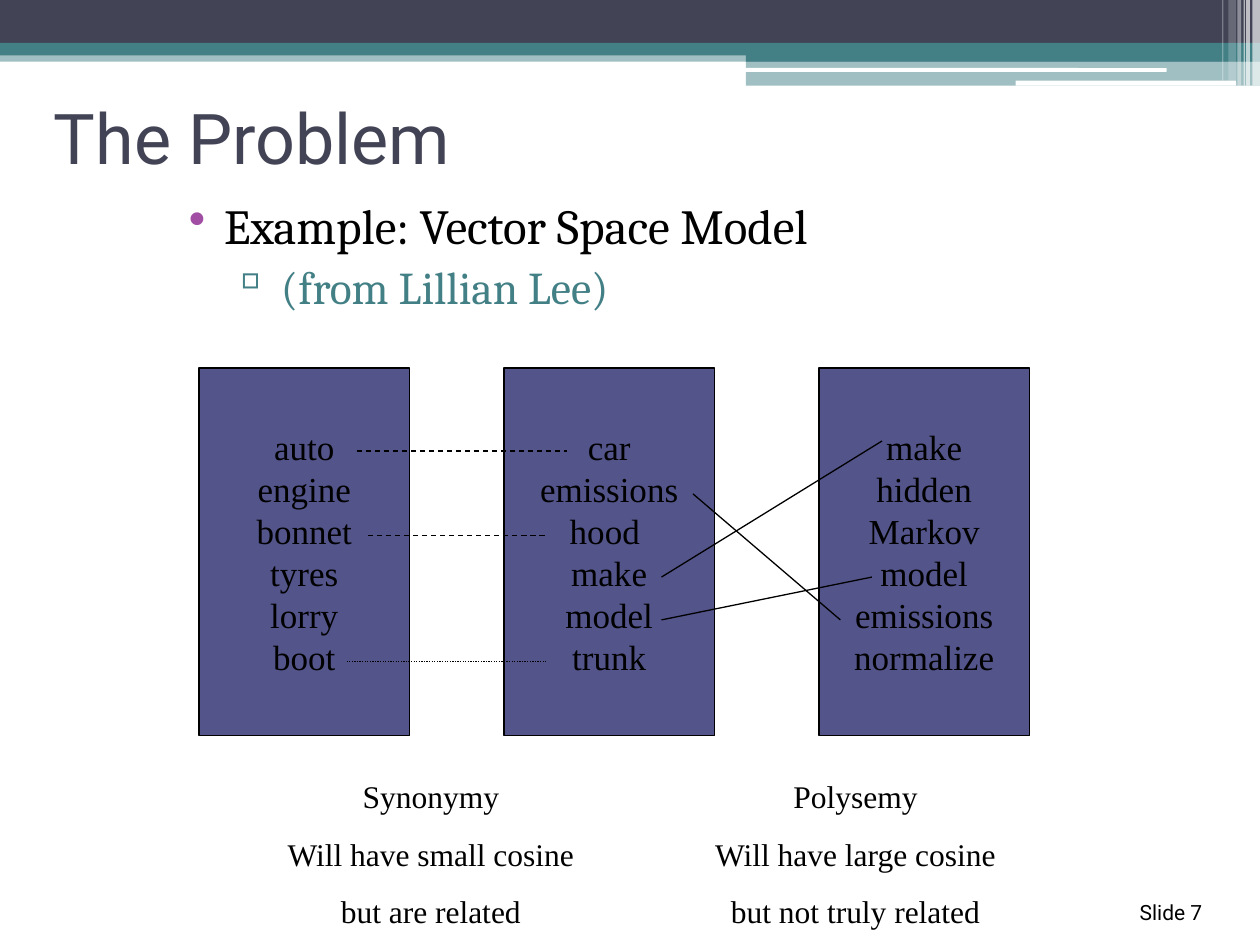
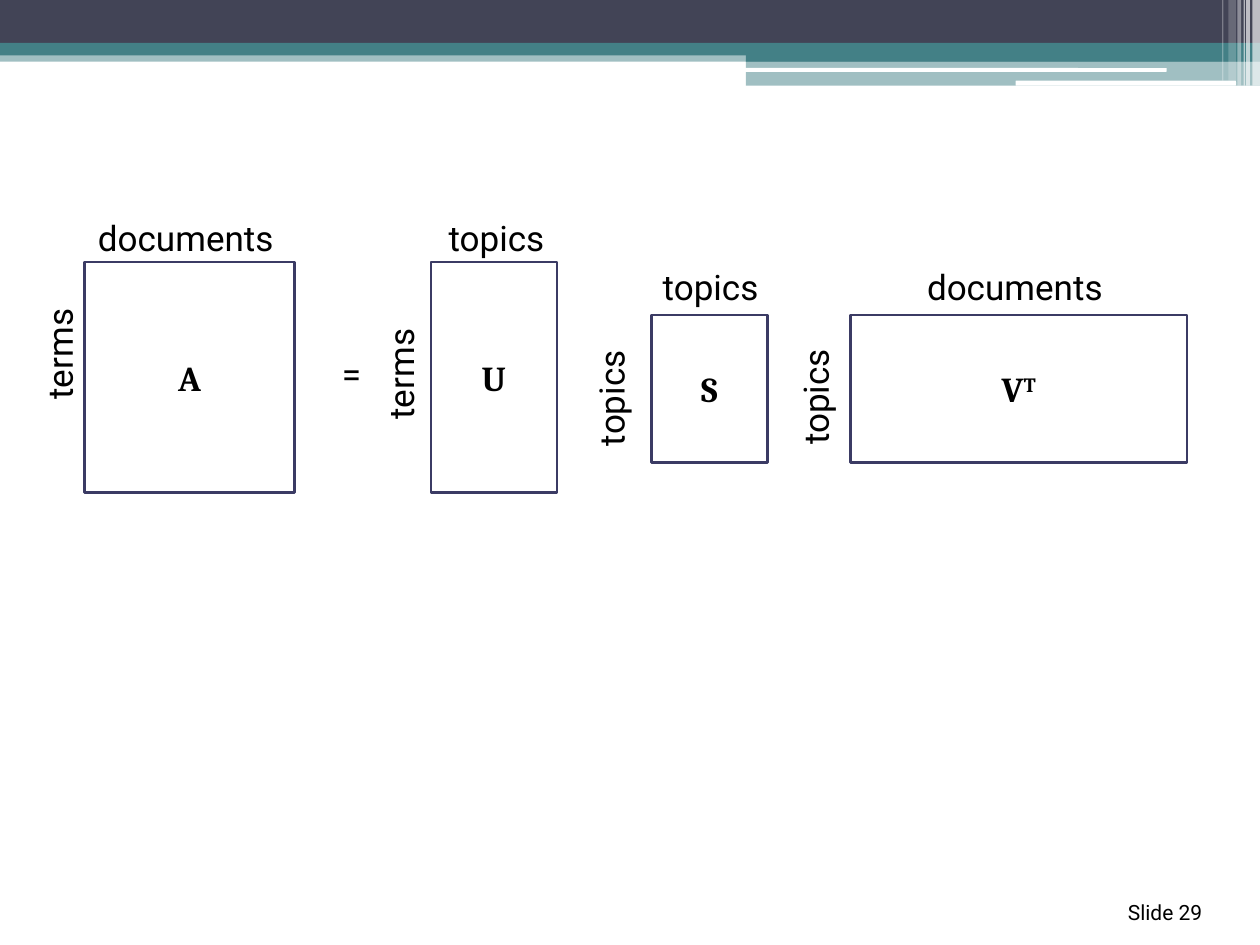
from lxml import etree
from pptx import Presentation
from pptx.dml.color import RGBColor
from pptx.enum.dml import MSO_LINE
from pptx.enum.shapes import MSO_CONNECTOR, MSO_SHAPE
from pptx.enum.text import MSO_ANCHOR, PP_ALIGN
from pptx.oxml.ns import qn
from pptx.util import Inches, Pt

RECTANGLE, ROUNDED = MSO_SHAPE.RECTANGLE, MSO_SHAPE.ROUNDED_RECTANGLE
STRAIGHT = MSO_CONNECTOR.STRAIGHT
DASH, DOT = MSO_LINE.DASH, MSO_LINE.ROUND_DOT
LEFT, CENTER, RIGHT = PP_ALIGN.LEFT, PP_ALIGN.CENTER, PP_ALIGN.RIGHT
TOP, MIDDLE = MSO_ANCHOR.TOP, MSO_ANCHOR.MIDDLE

BLACK = RGBColor(0x00, 0x00, 0x00)
WHITE = RGBColor(0xFF, 0xFF, 0xFF)
SLATE = RGBColor(0x42, 0x44, 0x56)
TEAL = RGBColor(0x43, 0x80, 0x86)
PURPLE = RGBColor(0xA0, 0x4D, 0xA3)
INDIGO = RGBColor(0x53, 0x54, 0x8A)
NAVY = RGBColor(0x3B, 0x3B, 0x64)

HEADING_FONT, BODY_FONT, DIAGRAM_FONT = "Roboto", "Cambria", "Times New Roman"

BANDS = [
    (RECTANGLE, 0, 0.4, 10, 0.09, TEAL, 50),
    (RECTANGLE, 0, 0, 10, 0.34, SLATE, 100),
    (RECTANGLE, 0, 0.34, 10, 0.1, TEAL, 100),
    (RECTANGLE, 5.92, 0.39, 4.08, 0.1, TEAL, 100),
    (RECTANGLE, 5.92, 0.48, 4.08, 0.2, TEAL, 50),
    (ROUNDED, 5.91, 0.54, 3.35, 0.03, WHITE, 100),
    (ROUNDED, 8.06, 0.64, 1.75, 0.04, WHITE, 100),
    (RECTANGLE, 9.94, 0, 0.06, 0.68, WHITE, 65),
    (RECTANGLE, 9.89, 0, 0.03, 0.68, WHITE, 65),
    (RECTANGLE, 9.87, 0, 0.01, 0.68, WHITE, 60),
    (RECTANGLE, 9.82, 0, 0.03, 0.68, WHITE, 40),
    (RECTANGLE, 9.75, 0, 0.06, 0.64, WHITE, 20),
    (RECTANGLE, 9.7, 0, 0.01, 0.64, WHITE, 30),
]


def add_panel(slide, kind, left, top, width, height, fill=None, line=None, weight=0.75):
    shape = slide.shapes.add_shape(
        kind, Inches(left), Inches(top), Inches(width), Inches(height))
    shape.shadow.inherit = False
    if fill is None:
        shape.fill.background()
    else:
        shape.fill.solid()
        shape.fill.fore_color.rgb = fill
    if line is None:
        shape.line.fill.background()
    else:
        shape.line.color.rgb = line
        shape.line.width = Pt(weight)
    return shape


def write_lines(shape, lines, size, font, color=BLACK, align=CENTER, anchor=TOP,
                wrap=True, gap=0, inset=0.05, bold=False):
    frame = shape.text_frame
    frame.word_wrap = wrap
    frame.vertical_anchor = anchor
    frame.margin_top = frame.margin_bottom = Inches(inset)
    for index, line in enumerate(lines):
        paragraph = frame.paragraphs[0] if index == 0 else frame.add_paragraph()
        paragraph.add_run().text = line
        paragraph.alignment = align
        if index:
            paragraph.space_before = Pt(gap)
        paragraph.font.size = Pt(size)
        paragraph.font.name = font
        paragraph.font.bold = bold
        paragraph.font.color.rgb = color
    return frame


presentation = Presentation()
presentation.slide_width = Inches(10)
presentation.slide_height = Inches(7.5)

slides = []
for number in (7, 29):
    slide = presentation.slides.add_slide(presentation.slide_layouts[6])
    for kind, left, top, width, height, color, opacity in BANDS:
        band = add_panel(slide, kind, left, top, width, height, color)
        if opacity < 100:
            fill_color = band.fill._xPr.find(".//" + qn("a:srgbClr"))
            etree.SubElement(fill_color, qn("a:alpha")).set("val", str(opacity * 1000))
    footer = slide.shapes.add_textbox(Inches(5.72), Inches(7.09), Inches(3.92), Inches(0.33))
    write_lines(footer, [f"Slide {number}"], 12, HEADING_FONT, align=RIGHT)
    slides.append(slide)
problem_slide, matrix_slide = slides

title = problem_slide.shapes.add_textbox(Inches(0.33), Inches(0.5), Inches(9), Inches(1.17))
write_lines(title, ["The Problem"], 40, HEADING_FONT, SLATE, LEFT, MIDDLE)

body = problem_slide.shapes.add_textbox(Inches(1.28), Inches(1.5), Inches(8.5), Inches(5.17))
body.text_frame.word_wrap = True
bullets = [
    ("Example: Vector Space Model", 28, BLACK, "•", PURPLE, 0.4, -0.28),
    (" (from Lillian Lee)", 26, TEAL, "▫", TEAL, 0.72, -0.27),
]
for level, (text, size, color, mark, mark_color, margin, indent) in enumerate(bullets):
    paragraph = body.text_frame.add_paragraph() if level else body.text_frame.paragraphs[0]
    paragraph.add_run().text = text
    paragraph.level = level
    if level:
        paragraph.space_before = Pt(3)
    properties = paragraph._p.get_or_add_pPr()
    properties.set("marL", str(Inches(margin)))
    properties.set("indent", str(Inches(indent)))
    bullet_color = etree.SubElement(properties, qn("a:buClr"))
    etree.SubElement(bullet_color, qn("a:srgbClr")).set("val", str(mark_color))
    etree.SubElement(properties, qn("a:buChar")).set("char", mark)
    paragraph.font.size = Pt(size)
    paragraph.font.name = BODY_FONT
    paragraph.font.color.rgb = color

word_lists = [
    (1.58, ["auto", "engine", "bonnet", "tyres", "lorry", "boot"]),
    (4, ["car", "emissions", "hood ", "make", "model", "trunk"]),
    (6.5, ["make", "hidden", "Markov", "model", "emissions", "normalize"]),
]
for left, words in word_lists:
    document = add_panel(problem_slide, RECTANGLE, left, 2.92, 1.67, 2.92, INDIGO, BLACK)
    write_lines(document, words, 20, DIAGRAM_FONT, anchor=MIDDLE, wrap=False)

word_links = [
    (2.83, 3.58, 4.5, 3.58, DASH),
    (2.92, 4.25, 4.33, 4.25, DASH),
    (2.75, 5.25, 4.33, 5.25, DOT),
    (7, 3.5, 5.25, 4.58, None),
    (6.92, 4.58, 5.25, 4.92, None),
    (6.67, 4.92, 5.5, 3.92, None),
]
for start_x, start_y, end_x, end_y, dash in word_links:
    link = problem_slide.shapes.add_connector(
        STRAIGHT, Inches(start_x), Inches(start_y), Inches(end_x), Inches(end_y))
    link.line.color.rgb = BLACK
    link.line.width = Pt(0.75)
    if dash:
        link.line.dash_style = dash
    etree.SubElement(link._element.spPr, qn("a:effectLst"))

captions = [
    (2.17, 2.5, ["Synonymy", "Will have small cosine", "but are related"]),
    (5.33, 2.92, ["Polysemy", "Will have large cosine", "but not truly related"]),
]
for left, width, lines in captions:
    caption = problem_slide.shapes.add_textbox(
        Inches(left), Inches(6.17), Inches(width), Inches(1.21))
    write_lines(caption, lines, 18, DIAGRAM_FONT, gap=11.2, inset=0)

matrices = [
    ("A", 0.67, 2.08, 1.67, 1.83),
    ("U", 3.42, 2.08, 1, 1.83),
    ("S", 5.17, 2.5, 0.92, 1.17),
    ("V", 6.75, 2.5, 2.67, 1.17),
]
for name, left, top, width, height in matrices:
    matrix = add_panel(matrix_slide, RECTANGLE, left, top, width, height, None, NAVY, 1.5)
    frame = write_lines(matrix, [name], 20, BODY_FONT, anchor=MIDDLE, bold=True)
    if name == "V":
        transpose = frame.paragraphs[0].add_run()
        transpose.text = "T"
        transpose._r.get_or_add_rPr().set("baseline", "30000")

row_labels = [
    ("terms", 0.25, 2.37),
    ("terms", 2.96, 2.53),
    ("topics", 4.63, 2.72),
    ("topics", 6.25, 2.71),
]
for text, left, top in row_labels:
    label = matrix_slide.shapes.add_textbox(
        Inches(left), Inches(top), Inches(0.53), Inches(0.88))
    frame = write_lines(label, [text], 20, HEADING_FONT, wrap=False, inset=0.1)
    frame.margin_left = frame.margin_right = Inches(0.05)
    frame._txBody.bodyPr.set("vert", "vert270")

column_labels = [
    ("documents", 0.64, 1.67, 1.67),
    ("topics", 3.45, 1.67, 0.98),
    ("documents", 7.22, 2.06, 1.67),
    ("topics", 5.15, 2.06, 0.98),
    ("=", 2.61, 2.75, 0.36),
]
for text, left, top, width in column_labels:
    label = matrix_slide.shapes.add_textbox(
        Inches(left), Inches(top), Inches(width), Inches(0.44))
    write_lines(label, [text], 20, HEADING_FONT, wrap=False)

presentation.save("out.pptx")
